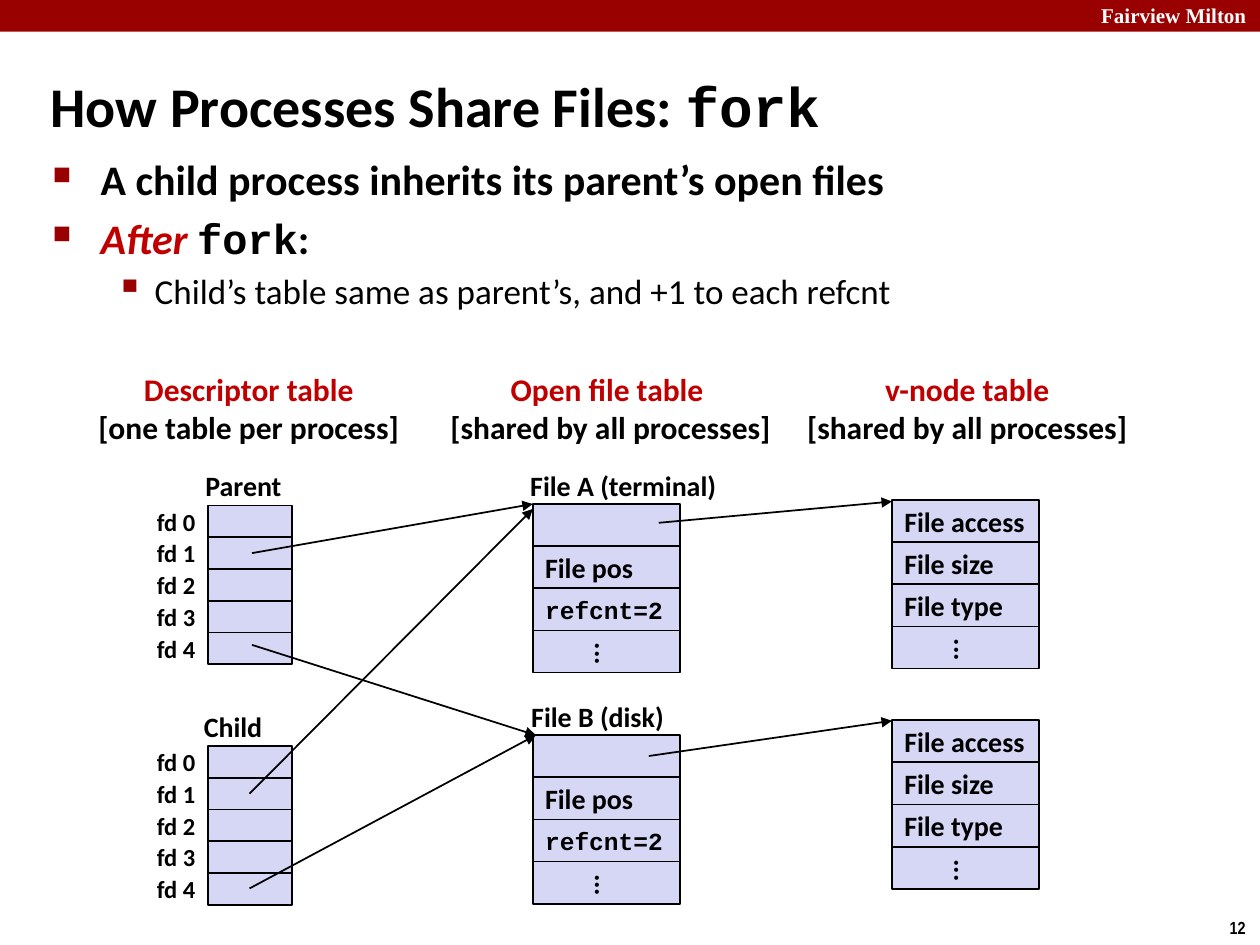
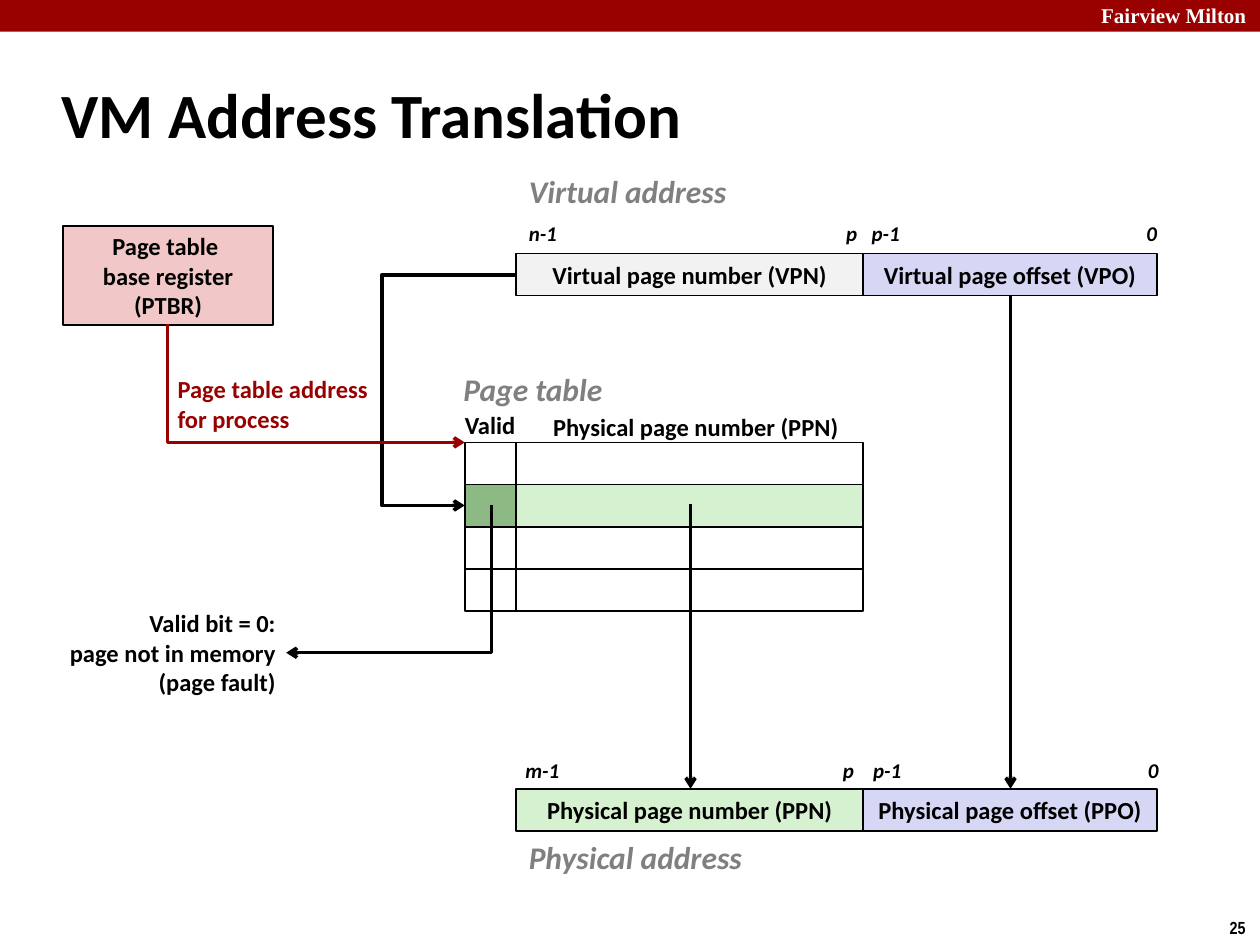
from dataclasses import dataclass

from pptx import Presentation
from pptx.dml.color import RGBColor
from pptx.enum.shapes import MSO_CONNECTOR as Link, MSO_SHAPE as Preset
from pptx.enum.text import MSO_ANCHOR as Anchor, MSO_AUTO_SIZE as AutoSize, PP_ALIGN as Align
from pptx.oxml.ns import qn
from pptx.oxml.xmlchemy import OxmlElement
from pptx.util import Cm, Pt

COLORS = {
    "black": "000000", "white": "FFFFFF", "crimson": "990000", "red": "C00000",
    "gray": "808080", "lavender": "D6D6F5", "silver": "F2F2F2",
    "mint": "D5F1CF", "green": "8DBA84", "pink": "F1C7C7",
}
SANS, MONO = "Calibri", "Courier New"
ROW = 0.85           # height of a table row, cm
FD_ROW = 0.64        # height of a descriptor row, cm


@dataclass(frozen=True)
class Style:
    size: float = 14
    color: str = "black"
    bold: bool = True
    italic: bool = False
    name: str = SANS


@dataclass(frozen=True)
class Box:
    left: float
    top: float
    width: float
    height: float

    def lengths(self) -> list:
        return [Cm(n) for n in (self.left, self.top, self.width, self.height)]


@dataclass(frozen=True)
class Label:
    text: str
    box: Box
    style: Style = Style()
    align: Align = Align.LEFT
    anchor: Anchor = Anchor.TOP


@dataclass(frozen=True)
class Arrow:
    start: tuple
    end: tuple
    width: float = 1
    head: str = "triangle"


PLAIN = Style()
CAPTION = Style(16)
HEADING = Style(18, "gray", italic=True)
INDEX = Style(12, italic=True)
REFCNT = Style(14, name=MONO)


def rgb(color: str) -> RGBColor:
    return RGBColor.from_string(COLORS[color])


def set_font(font, style: Style) -> None:
    font.name, font.size = style.name, Pt(style.size)
    font.bold, font.italic = style.bold, style.italic
    font.color.rgb = rgb(style.color)


def fill_text(frame, text: str, style: Style, align=Align.LEFT,
              anchor=Anchor.MIDDLE, wrap: bool = False) -> None:
    frame.text = text
    frame.word_wrap, frame.vertical_anchor = wrap, anchor
    for para in frame.paragraphs:
        para.alignment = align
        set_font(para.font, style)


def add_spans(para, spans: list) -> None:
    for text, style in spans:
        span = para.add_run()
        span.text = text
        set_font(span.font, style)


def add_label(page, label: Label) -> None:
    frame = page.shapes.add_textbox(*label.box.lengths()).text_frame
    fill_text(frame, label.text, label.style, label.align, label.anchor)


def add_box(page, box: Box, fill: str = "", line: bool = True):
    shape = page.shapes.add_shape(Preset.RECTANGLE, *box.lengths())
    shape.shadow.inherit = False
    if fill:
        shape.fill.solid()
        shape.fill.fore_color.rgb = rgb(fill)
    else:
        shape.fill.background()
    if line:
        shape.line.color.rgb, shape.line.width = rgb("black"), Pt(1)
    else:
        shape.line.fill.background()
    return shape


def add_line(page, start: tuple, end: tuple, width: float, head: str,
             color: str = "black", kind=Link.STRAIGHT, head_end: str = "a:tailEnd"):
    line = page.shapes.add_connector(kind, *[Cm(n) for n in (*start, *end)])
    line.line.color.rgb, line.line.width = rgb(color), Pt(width)
    tip = OxmlElement(head_end)
    tip.set("type", head)
    properties = line.element.spPr
    properties.find(qn("a:ln")).append(tip)
    properties.append(OxmlElement("a:effectLst"))
    return line


def add_arrow(page, arrow: Arrow) -> None:
    add_line(page, arrow.start, arrow.end, arrow.width, arrow.head)


def add_corner(page, tip: tuple, origin: tuple, color: str = "black") -> None:
    """One-bend arrow that leaves origin vertically and reaches tip horizontally."""
    line = add_line(page, tip, origin, 2, "arrow", color, Link.ELBOW, "a:headEnd")
    line.element.spPr.find(qn("a:prstGeom")).set("prst", "bentConnector2")


def add_detour(page, start: tuple, end: tuple, elbow: float) -> None:
    """Two-bend arrow whose vertical part stands at elbow."""
    line = add_line(page, start, end, 2, "arrow", kind=Link.ELBOW)
    geometry = line.element.spPr.find(qn("a:prstGeom"))
    guide = OxmlElement("a:gd")
    guide.set("name", "adj1")
    share = (start[0] - elbow) / (start[0] - end[0])
    guide.set("fmla", f"val {round(share * 100000)}")
    geometry.get_or_add_avLst().append(guide)


def add_bullet(para, char: str, percent: int, margin: float, hang: float) -> None:
    properties = para._p.get_or_add_pPr()
    properties.set("marL", str(Cm(margin)))
    properties.set("indent", str(-Cm(hang)))
    color = OxmlElement("a:buClr")
    value = OxmlElement("a:srgbClr")
    value.set("val", COLORS["crimson"])
    color.append(value)
    size = OxmlElement("a:buSzPct")
    size.set("val", str(percent * 1000))
    mark = OxmlElement("a:buChar")
    mark.set("char", char)
    for part in (color, size, mark):
        properties.append(part)


def add_page(deck, spans: list, left: float, top: float, number: int):
    """Slide with the shared title, top band and page number."""
    page = deck.slides.add_slide(deck.slide_layouts[5])
    title = page.shapes.title
    title.left, title.top, title.width, title.height = Box(left, top, 21.08, 2.11).lengths()
    frame = title.text_frame
    frame.auto_size, frame.vertical_anchor = AutoSize.NONE, Anchor.MIDDLE
    frame.paragraphs[0].alignment = Align.LEFT
    add_spans(frame.paragraphs[0], spans)

    add_box(page, Box(0, 0, 25.4, 0.64), "crimson", line=False)
    add_label(page, Label("Fairview Milton", Box(21.95, -0.08, 3.63, 0.76),
                          Style(12, "white", name="Times New Roman")))
    add_label(page, Label(str(number), Box(24.54, 18.36, 0.86, 0.69),
                          Style(10, name="Arial Narrow")))
    return page


def add_descriptors(page, top: float) -> None:
    for row in range(5):
        y = top + row * FD_ROW
        add_box(page, Box(4.19, y, 1.7, FD_ROW), "lavender")
        add_label(page, Label(f"fd {row}", Box(2.49, y, 1.7, FD_ROW), PLAIN,
                              Align.RIGHT, Anchor.MIDDLE))


def add_record(page, left: float, top: float, fields: list) -> None:
    for row, text in enumerate(fields):
        cell = add_box(page, Box(left, top + row * ROW, 2.97, ROW), "lavender")
        if text:
            fill_text(cell.text_frame, text, REFCNT if "=" in text else CAPTION)
        if text == "...":
            cell.text_frame._txBody.bodyPr.set("vert", "eaVert")


def add_address(page, top: float, names: list, fills: list) -> None:
    for left, width, name, fill in zip((10.41, 17.4), (6.99, 5.92), names, fills):
        part = add_box(page, Box(left, top, width, ROW), fill)
        fill_text(part.text_frame, name, PLAIN, Align.CENTER, wrap=True)


def build_fork_page(deck) -> None:
    page = add_page(deck, [("How Processes Share Files: ", Style(32)),
                           ("fork", Style(32, name=MONO))], 0.76, 1.07, 12)

    # Bulleted text
    frame = page.shapes.add_textbox(*Box(0.81, 2.97, 23.09, 3.61).lengths()).text_frame
    frame.word_wrap = True
    strong = Style(24)
    bullets = [
        ([("A child process inherits its parent’s open files", strong)], 0),
        ([("After ", Style(24, "red", italic=True)), ("fork", Style(24, name=MONO)),
          (":", strong)], 0),
        ([("Child’s table same as parent’s, and +1 to each refcnt",
           Style(20, bold=False))], 1),
    ]
    for order, (spans, level) in enumerate(bullets):
        para = frame.add_paragraph() if order else frame.paragraphs[0]
        para.level, para.space_before = level, Pt(4 if level else 4.8)
        add_bullet(para, *(("▪", 110, 2.06, 0.79) if level else ("■", 60, 0.97, 0.97)))
        add_spans(para, spans)

    # Column headings
    headings = [("Descriptor table", "[one table per process]", 1.7, 6.63),
                ("Open file table ", "[shared by all processes]", 8.79, 7.04),
                ("v-node table", "[shared by all processes]", 15.98, 7.04)]
    for name, scope, left, width in headings:
        box = page.shapes.add_textbox(*Box(left, 7.32, width, 1.8).lengths())
        fill_text(box.text_frame, f"{name}\n{scope}", Style(18), Align.CENTER)
        box.text_frame.paragraphs[0].font.color.rgb = rgb("red")

    # Tables
    for top in (10.19, 15.04):
        add_descriptors(page, top)
    for top in (10.16, 14.82):
        add_record(page, 10.74, top, ["", "File pos", "refcnt=2", "..."])
    for top in (10.08, 14.52):
        add_record(page, 17.98, top, ["File access", "File size", "File type", "..."])
    for text, left, top, width in [("Parent", 3.89, 9.32, 2.06), ("Child", 3.86, 14.17, 1.7),
                                   ("File A (terminal)", 10.44, 9.32, 4.29),
                                   ("File B (disk)", 10.46, 13.97, 3.23)]:
        add_label(page, Label(text, Box(left, top, width, 0.94), CAPTION,
                              anchor=Anchor.MIDDLE))

    # Pointers
    for arrow in [Arrow((5.08, 11.15), (10.74, 10.16)), Arrow((5.08, 13), (10.8, 14.82)),
                  Arrow((13.28, 10.54), (17.98, 10.11)), Arrow((13.08, 15.24), (17.98, 14.53)),
                  Arrow((5.03, 16), (10.74, 10.26)), Arrow((5.03, 17.91), (10.8, 14.82))]:
        add_arrow(page, arrow)


def build_translation_page(deck) -> None:
    page = add_page(deck, [("VM Address Translation", Style(36))], 0.99, 1.22, 25)

    # Addresses, page table and base register
    add_address(page, 5.11, ["Virtual page number (VPN)", "Virtual page offset (VPO)"],
                ["silver", "lavender"])
    for row in range(4):
        y = 8.92 + row * ROW
        hit = row == 1
        add_box(page, Box(10.41, y, 6.99, ROW), "mint" if hit else "")
        add_box(page, Box(9.37, y, 1.04, ROW), "green" if hit else "")
    add_address(page, 15.9, ["Physical page number (PPN)", "Physical page offset (PPO)"],
                ["mint", "lavender"])
    register = add_box(page, Box(1.27, 4.55, 4.24, 2.01), "pink")
    fill_text(register.text_frame, "Page table \vbase register\n(PTBR)", PLAIN,
              Align.CENTER, wrap=True)

    # Arrows
    add_detour(page, (10.41, 5.54), (9.37, 10.19), 7.7)
    add_arrow(page, Arrow((20.37, 5.97), (20.37, 15.9), 2, "arrow"))
    add_arrow(page, Arrow((13.92, 10.16), (13.92, 15.9), 2, "arrow"))
    add_corner(page, (5.77, 13.16), (9.91, 10.19))
    add_corner(page, (9.37, 8.92), (3.38, 6.53), "crimson")

    # Captions
    for label in [
        Label("Virtual address", Box(10.41, 3.35, 4.52, 1.02), HEADING),
        Label("Physical address", Box(10.41, 16.76, 4.85, 1.02), HEADING),
        Label("Page table ", Box(9.09, 7.34, 3.61, 1.02), HEADING),
        Label("Valid", Box(9.12, 8.15, 1.55, 0.86)),
        Label("Physical page number (PPN)", Box(10.9, 8.18, 6.3, 0.86)),
        Label("Page table address \nfor process", Box(3.33, 7.42, 4.39, 1.45),
              Style(color="crimson")),
        Label("Valid bit = 0:\npage not in memory\n(page fault)",
              Box(1.14, 12.14, 4.67, 2.06), PLAIN, Align.RIGHT),
    ]:
        add_label(page, label)

    # Bit positions
    for top, bits in [(4.32, [("n-1", 10.41, 1.19), ("p", 16.81, 0.84),
                              ("p-1", 17.32, 1.19), ("0", 22.86, 0.84)]),
                      (15.14, [("m-1", 10.34, 1.3), ("p", 16.74, 0.84),
                               ("p-1", 17.35, 1.19), ("0", 22.89, 0.84)])]:
        for text, left, width in bits:
            add_label(page, Label(text, Box(left, top, width, 0.76), INDEX))


deck = Presentation()
deck.slide_width, deck.slide_height = Cm(25.4), Cm(19.05)
build_fork_page(deck)
build_translation_page(deck)
deck.save("out.pptx")
